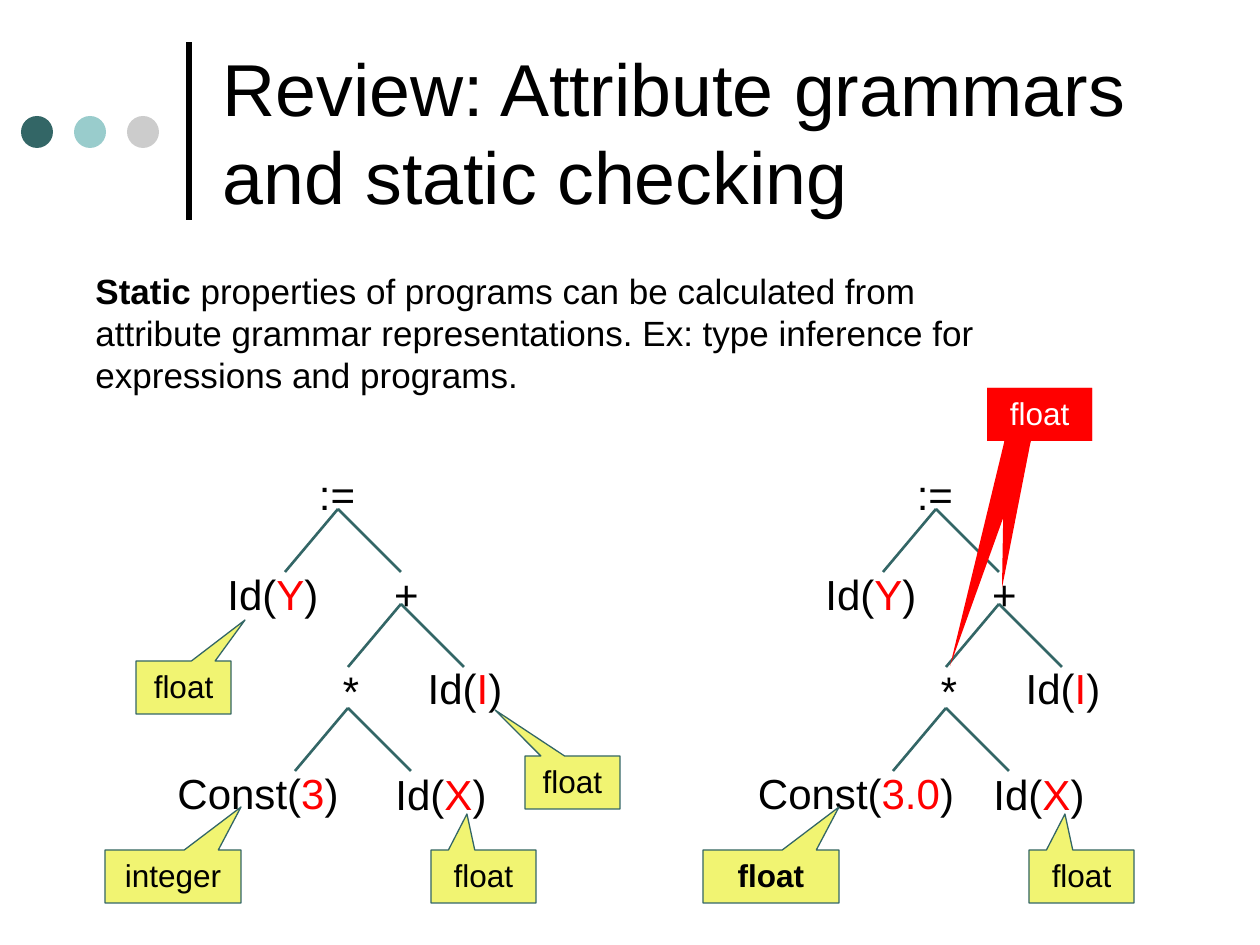
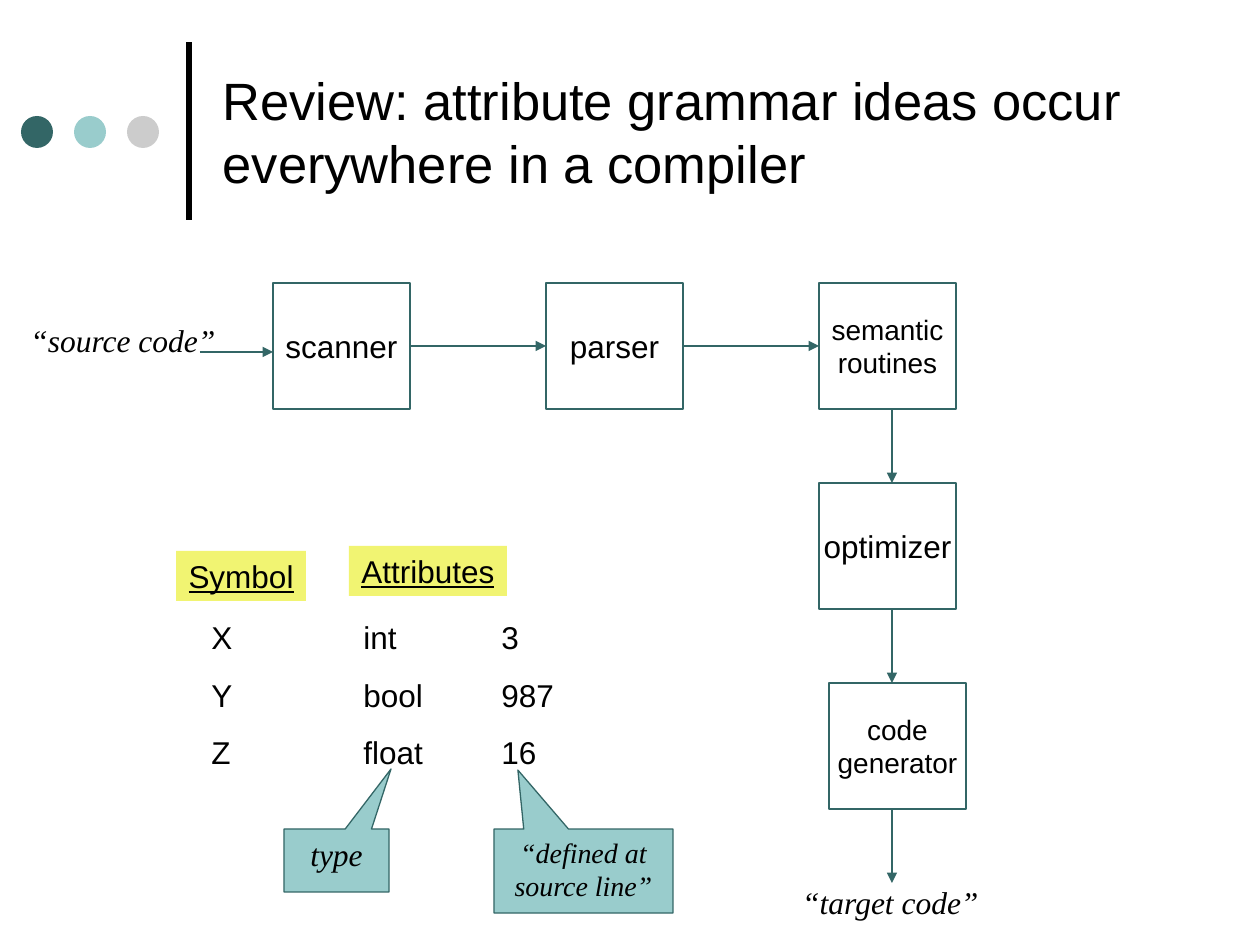
import lxml.etree
import pptx
import pptx.dml.color
import pptx.enum.shapes
import pptx.enum.text
import pptx.oxml.ns
import pptx.util

PX_PER_INCH = 126
TEAL, AQUA, GREY = "336666", "99CCCC", "CCCCCC"
BLACK, WHITE, RED, YELLOW = "000000", "FFFFFF", "FF0000", "F1F472"
SANS, SERIF, MONO = "Arial", "Times New Roman", "Courier New"
LEADING = 1.2
TREE_SHIFT = 598
BRANCHES = (-53, 63)  # sideways reach of the left and right child
DROP = 63

SHAPE = pptx.enum.shapes.MSO_SHAPE
ALIGN = pptx.enum.text.PP_ALIGN
ANCHOR = pptx.enum.text.MSO_ANCHOR
qn = pptx.oxml.ns.qn


def px(length):
    return pptx.util.Emu(round(length * 914400 / PX_PER_INCH))


def rgb(code):
    return pptx.dml.color.RGBColor.from_string(code)


# Text
def set_tabs(paragraph, stops):
    tab_list = lxml.etree.SubElement(
        paragraph._p.get_or_add_pPr(), qn("a:tabLst"))
    for stop in stops:
        lxml.etree.SubElement(tab_list, qn("a:tab"), pos=str(px(stop)), algn="l")


def write(frame, lines, size, color=BLACK, font=SANS, align=ALIGN.CENTER,
          anchor=ANCHOR.TOP, wrap=False, gap=0, tabs=(), **emphasis):
    """Each line is a string or a list of (text, run overrides)."""
    frame.word_wrap = wrap
    frame.auto_size = pptx.enum.text.MSO_AUTO_SIZE.NONE
    frame.vertical_anchor = anchor
    for index, line in enumerate(lines):
        paragraph = frame.add_paragraph() if index else frame.paragraphs[0]
        if tabs:
            set_tabs(paragraph, tabs)
        paragraph.alignment = align
        paragraph.line_spacing = pptx.util.Pt(size * LEADING)
        if index and gap:
            paragraph.space_before = pptx.util.Pt(gap)
        runs = [(line, {})] if isinstance(line, str) else line
        for text, overrides in runs:
            run = paragraph.add_run()
            run.text = text
            style = {"color": color, **emphasis, **overrides}
            run.font.size = pptx.util.Pt(size)
            run.font.name = font
            run.font.color.rgb = rgb(style.pop("color"))
            for name, value in style.items():
                setattr(run.font, name, value)


def add_label(shapes, box, lines, size, fill=None, **style):
    label = shapes.add_textbox(*map(px, box))
    if fill:
        label.fill.solid()
        label.fill.fore_color.rgb = rgb(fill)
    write(label.text_frame, lines, size, **style)


# Shapes and lines
def add_block(shapes, preset, box, fill, outline=None):
    block = shapes.add_shape(preset, *map(px, box))
    block.shadow.inherit = False
    block.fill.solid()
    block.fill.fore_color.rgb = rgb(fill)
    if outline:
        block.line.color.rgb = rgb(outline)
        block.line.width = pptx.util.Pt(0.75)
    else:
        block.line.fill.background()
    return block


def add_callout(shapes, box, tip, text=None, size=18, fill=YELLOW,
                outline=TEAL, **style):
    callout = add_block(shapes, SHAPE.RECTANGULAR_CALLOUT, box, fill, outline)
    left, top, width, height = box
    callout.adjustments[0] = (tip[0] - left - width / 2) / width
    callout.adjustments[1] = (tip[1] - top - height / 2) / height
    if text:
        write(callout.text_frame, [text], size, wrap=True, **style)


def add_line(shapes, start, end, color=TEAL, width=0.75, arrow=False):
    line = shapes.add_connector(pptx.enum.shapes.MSO_CONNECTOR.STRAIGHT,
                                *map(px, (*start, *end)))
    line.line.color.rgb = rgb(color)
    line.line.width = pptx.util.Pt(width)
    if arrow:
        lxml.etree.SubElement(line.line._get_or_add_ln(), qn("a:tailEnd"),
                              type="triangle")
    lxml.etree.SubElement(line._element.spPr, qn("a:effectLst"))


# Shared slide frame
def add_titled_slide(deck, title, size):
    slide = deck.slides.add_slide(deck.slide_layouts[5])
    heading = slide.shapes.title
    heading.left, heading.top, heading.width, heading.height = map(
        px, (210, 26, 966, 210))
    write(heading.text_frame, [title], size, align=ALIGN.LEFT,
          anchor=ANCHOR.MIDDLE, wrap=True)
    add_line(slide.shapes, (189, 220), (189, 42), BLACK, 3)
    for index, color in enumerate((TEAL, AQUA, GREY)):
        add_block(slide.shapes, SHAPE.OVAL, (21 + 53 * index, 116, 32, 32), color)
    return slide


# Expression tree
def add_tree(slide, shift, constant, constant_left, constant_width,
             constant_type, **type_style):
    tree = slide.shapes.add_group_shape().shapes

    def leaf(kind, value):
        return [(f"{kind}(", {}), (value, {"color": RED}), (")", {})]

    nodes = [
        (306, 462, 62, ":=", SANS),
        (215, 562, 116, leaf("Id", "Y"), SANS),
        (382, 562, 49, "+", SANS),
        (326, 660, 50, "*", MONO),
        (415, 656, 100, leaf("Id", "I"), SANS),
        (constant_left, 761, constant_width, leaf("Const", constant), SANS),
        (383, 762, 116, leaf("Id", "X"), SANS),
    ]
    for left, top, width, line, font in nodes:
        add_label(tree, (left + shift, top, width, 63), [line], 24, font=font)
    for x, y in ((338, 509), (401, 604), (348, 708)):
        for reach in BRANCHES:
            add_line(tree, (x + shift, y), (x + shift + reach, y + DROP),
                     width=1.5)

    # Types of the two lowest leaves
    add_callout(slide.shapes, (105 + shift, 850, 136, 53), (241 + shift, 807),
                constant_type, **type_style)
    add_callout(slide.shapes, (431 + shift, 850, 105, 53), (467 + shift, 814),
                "float")


def build_static_checking(deck):
    slide = add_titled_slide(
        deck, "Review: Attribute grammars and static checking", 42)
    shapes = slide.shapes
    add_label(shapes, (83, 263, 914, 139), [
        [("Static", {"bold": True}),
         (" properties of programs can be calculated from", {})],
        "attribute grammar representations. Ex: type inference for",
        "expressions and programs.",
    ], 20, fill=WHITE, align=ALIGN.LEFT, wrap=True)

    add_tree(slide, 0, "3", 165, 186, "integer")
    add_callout(shapes, (525, 756, 95, 53), (495, 710), "float")
    add_callout(shapes, (136, 661, 95, 53), (245, 620), "float")

    add_tree(slide, TREE_SHIFT, "3.0", 148, 220, "float", bold=True)
    # One inferred type pointing at both operators
    inferred = (987, 388, 105, 53)
    add_callout(shapes, inferred, (950, 666), fill=RED, outline=None)
    add_callout(shapes, inferred, (1002, 588), "float", fill=RED, outline=None,
                color=WHITE)


def build_compiler(deck):
    slide = add_titled_slide(
        deck, "Review: attribute grammar ideas occur everywhere in a compiler", 30)
    shapes = slide.shapes

    # Compiler phases
    phases = [
        (273, 283, ["scanner"]),
        (546, 283, ["parser"]),
        (819, 283, ["semantic", "routines"]),
        (819, 483, ["optimizer"]),
        (829, 683, ["code", "generator"]),
    ]
    for left, top, name in phases:
        phase = add_block(shapes, SHAPE.RECTANGLE, (left, top, 137, 126),
                          WHITE, TEAL)
        write(phase.text_frame, name, 18 if len(name) == 1 else 16,
              anchor=ANCHOR.MIDDLE)

    # Flow between phases
    add_line(shapes, (200, 352), (273, 352), arrow=True)
    for x in (410, 683):
        add_line(shapes, (x, 346), (x + 136, 346), arrow=True)
    for y in (409, 609, 809):
        add_line(shapes, (892, y), (892, y + 74), arrow=True)
    for box, code in (((789, 877, 203, 50), "“target code”"),
                      ((17, 315, 212, 50), "“source code”")):
        add_label(shapes, box, [code], 18, font=SERIF, italic=True)

    # Symbol table
    add_label(shapes, (199, 612, 410, 166),
              ["X\tint\t3", "Y\tbool\t987", "Z\tfloat\t16"], 18,
              align=ALIGN.LEFT, wrap=True, gap=11.2, tabs=(152, 290))
    for box, header in (((176, 551, 130, 50), "Symbol"),
                        ((349, 546, 158, 50), "Attributes")):
        add_label(shapes, box, [header], 18, fill=YELLOW, underline=True)
    for box, tip, meaning, size in (
            ((284, 829, 105, 63), (391, 769), "type", 18),
            ((494, 829, 179, 84), (518, 770), "“defined at source line”", 16)):
        add_callout(shapes, box, tip, meaning, size, AQUA, font=SERIF, italic=True)


def main():
    deck = pptx.Presentation()
    deck.slide_width, deck.slide_height = px(1260), px(945)
    build_static_checking(deck)
    build_compiler(deck)
    deck.save("out.pptx")


if __name__ == "__main__":
    main()
